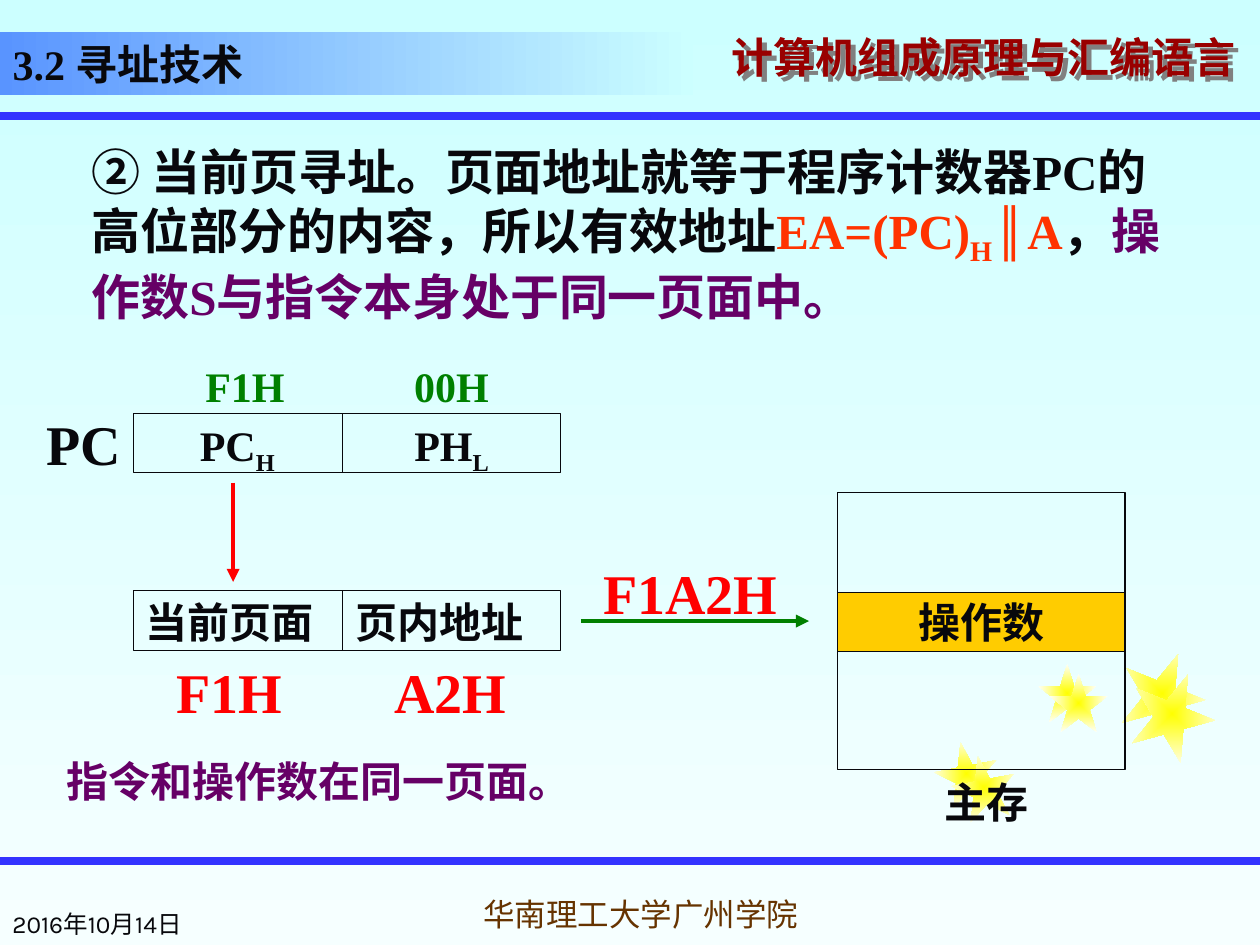
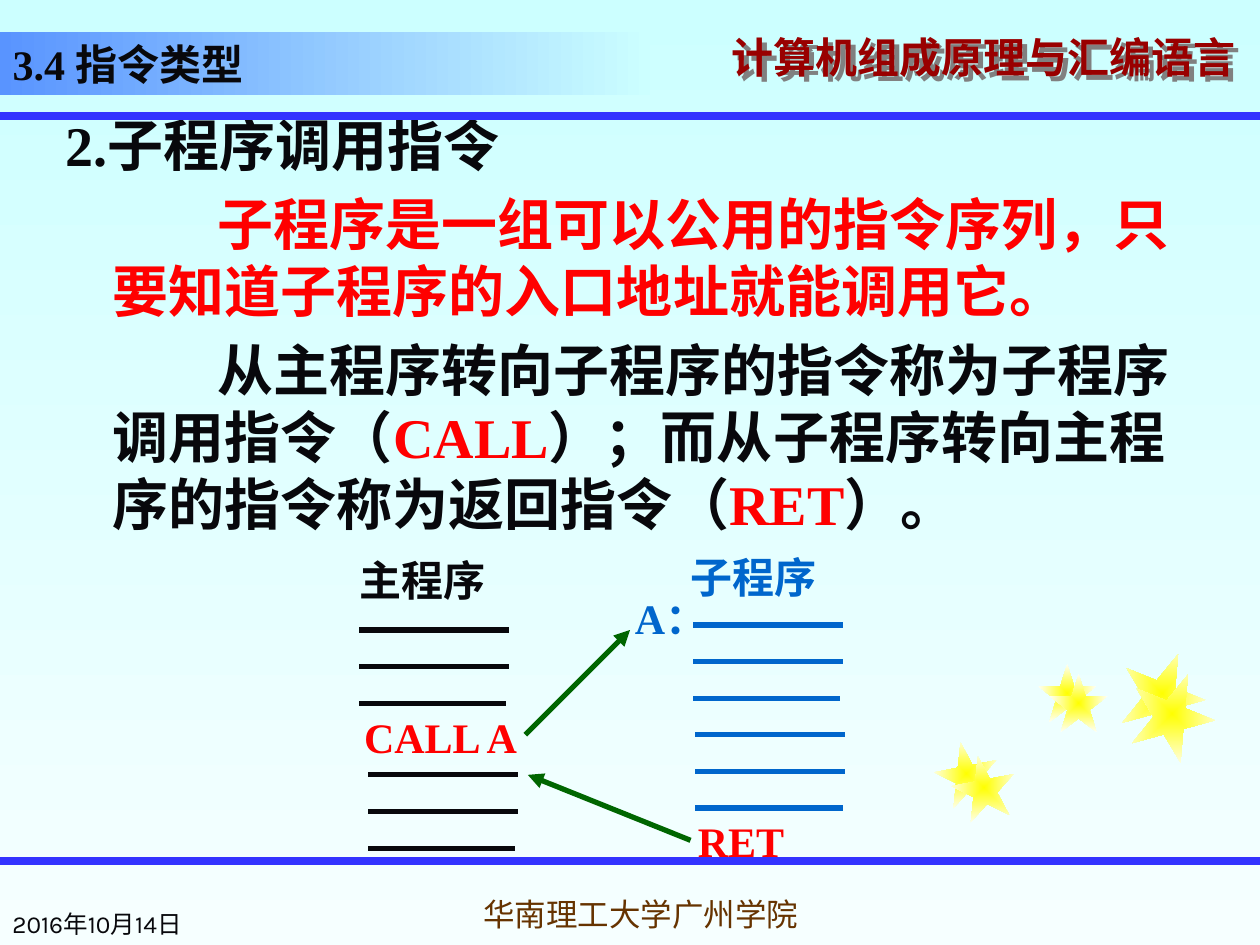
import lxml.etree
import pptx
import pptx.dml.color
import pptx.enum.shapes
import pptx.enum.text
import pptx.oxml.ns
import pptx.util

Cm = pptx.util.Cm
Pt = pptx.util.Pt
SHAPES = pptx.enum.shapes.MSO_SHAPE
ALIGN = pptx.enum.text.PP_ALIGN
ANCHOR = pptx.enum.text.MSO_ANCHOR

INK, RED, GREEN, PURPLE = "08080C", "FF0000", "008000", "660066"
ORANGE, BLUE, DARK_GREEN = "FF3300", "0066CC", "006600"
LATIN, CJK, FOOTER_FONT = "Times New Roman", "Noto Sans CJK SC", "Karla"
STARS = [
    (18.85, 14.96, 1.27, 349), (20.93, 13.39, 1.17, 0), (22.58, 13.13, 1.7, 22),
    (19.2, 15.24, 1.27, 349), (21.16, 13.59, 1.17, 0), (22.78, 13.54, 1.7, 22),
]


def rgb(code):
    return pptx.dml.color.RGBColor.from_string(code)


def child(parent, tag, **attributes):
    return lxml.etree.SubElement(parent, pptx.oxml.ns.qn(tag), **attributes)


def gradient(fill, start, end, angle=0):
    fill.gradient()
    fill.gradient_angle = angle
    for stop, code in zip(fill.gradient_stops, (start, end)):
        stop.color.rgb = rgb(code)


class Deck:
    def __init__(self):
        self.presentation = pptx.Presentation()
        self.presentation.slide_width = Cm(25.4)
        self.presentation.slide_height = Cm(19.05)
        gradient(self.presentation.slide_master.background.fill, "CCFFFF", "F6FFFF", 270)
        self.slide = None

    def new_slide(self, number, topic, band_width):
        layout = self.presentation.slide_layouts[1]
        self.slide = self.presentation.slides.add_slide(layout)
        self.title(number, topic, band_width)
        self.course_name()
        for y in (2.33, 17.35):
            self.line(0, y, 25.4, y, "3333FF", 4.5)
        for star in STARS:
            self.star(*star)
        self.text(0, 17.78, 5.28, "2016年10月14日", size=14, font=FOOTER_FONT,
                  bold=False, anchor=ANCHOR.BOTTOM)
        self.text(8.89, 17.78, 8.05, "华南理工大学广州学院", "663300", 18, font=FOOTER_FONT,
                  bold=False, align=ALIGN.CENTER, anchor=ANCHOR.MIDDLE)

    def place(self, holder, left, top, width, height):
        holder.left, holder.top = Cm(left), Cm(top)
        holder.width, holder.height = Cm(width), Cm(height)

    def run(self, paragraph, text, color=INK, size=24, font=LATIN, bold=True, baseline=0):
        run = paragraph.add_run()
        run.text = text
        run.font.size = Pt(size)
        run.font.bold = bold
        run.font.name = font
        run.font.color.rgb = rgb(color)
        properties = run._r.get_or_add_rPr()
        child(properties, "a:ea", typeface=FOOTER_FONT if font == FOOTER_FONT else CJK)
        if baseline:
            properties.set("baseline", str(baseline * 1000))

    def title(self, number, topic, width):
        heading = self.slide.shapes.title
        self.place(heading, 0, 0.64, width, 1.27)
        gradient(heading.fill, "5994FF", "CCFFFF")
        frame = heading.text_frame
        frame.vertical_anchor = ANCHOR.BOTTOM
        frame.auto_size = pptx.enum.text.MSO_AUTO_SIZE.NONE
        paragraph = frame.paragraphs[0]
        paragraph.alignment = ALIGN.LEFT
        self.run(paragraph, number + " ")
        self.run(paragraph, topic, font=CJK)

    def course_name(self):
        course = self.text(14.5, 0.64, 10.9, "计算机组成原理与汇编语言", "990000",
                           font=CJK, anchor=ANCHOR.MIDDLE)
        course.text_frame.paragraphs[0].line_spacing = 0.7
        effects = child(course._element.spPr, "a:effectLst")
        shadow = child(effects, "a:outerShdw", dist=str(Cm(0.14)), dir="2700000")
        child(shadow, "a:srgbClr", val="808080")

    def body(self, left, top, width, height, size, paragraphs):
        content = self.slide.placeholders[1]
        self.place(content, left, top, width, height)
        frame = content.text_frame
        frame.word_wrap = True
        frame.auto_size = pptx.enum.text.MSO_AUTO_SIZE.NONE
        for position, (first_indent, runs) in enumerate(paragraphs):
            paragraph = frame.add_paragraph() if position else frame.paragraphs[0]
            properties = paragraph._p.get_or_add_pPr()
            properties.set("marL", str(Cm(0.95)))
            properties.set("indent", str(Cm(first_indent)))
            child(properties, "a:buNone")
            for text, color, *baseline in runs:
                self.run(paragraph, text, color, size, baseline=baseline[0] if baseline else 0)

    def text(self, left, top, width, words, color=INK, size=24, subscript="", font=LATIN,
             bold=True, align=ALIGN.LEFT, anchor=ANCHOR.TOP):
        height = 1.6 if size == 32 else 1.27
        box = self.slide.shapes.add_textbox(Cm(left), Cm(top), Cm(width), Cm(height))
        frame = box.text_frame
        frame.word_wrap = True
        frame.vertical_anchor = anchor
        paragraph = frame.paragraphs[0]
        paragraph.alignment = align
        self.run(paragraph, words, color, size, font, bold)
        if subscript:
            self.run(paragraph, subscript, color, size, font, bold, -25)
        return box

    def box(self, left, top, width, height, fill=None, words=""):
        box = self.slide.shapes.add_shape(
            SHAPES.RECTANGLE, Cm(left), Cm(top), Cm(width), Cm(height))
        box.shadow.inherit = False
        box.line.color.rgb = rgb(INK)
        box.line.width = Pt(0.75)
        if fill:
            box.fill.solid()
            box.fill.fore_color.rgb = rgb(fill)
        else:
            box.fill.background()
        if words:
            box.text_frame.vertical_anchor = ANCHOR.MIDDLE
            paragraph = box.text_frame.paragraphs[0]
            paragraph.alignment = ALIGN.CENTER
            self.run(paragraph, words)

    def register(self, top, cells, align):
        self.box(2.69, top, 8.61, 1.2)
        self.line(6.91, top, 6.91, top + 1.2, INK, 0.75)
        for left, width, (words, subscript) in zip((2.69, 6.91), (4.19, 4.39), cells):
            self.text(left, top, width, words, subscript=subscript, align=align)

    def star(self, left, top, size, rotation):
        star = self.slide.shapes.add_shape(SHAPES.STAR_5_POINT, Cm(left), Cm(top), Cm(size), Cm(size))
        star.rotation = rotation
        star.shadow.inherit = False
        star.line.fill.background()
        gradient(star.fill, "FFFF00", "FFFFF5")
        shading = star._element.spPr.find(pptx.oxml.ns.qn("a:gradFill"))
        shading.remove(shading.find(pptx.oxml.ns.qn("a:lin")))
        centre = child(shading, "a:path", path="shape")
        child(centre, "a:fillToRect", l="50000", t="50000", r="50000", b="50000")

    def line(self, x1, y1, x2, y2, color, width, arrow=False):
        line = self.slide.shapes.add_connector(
            pptx.enum.shapes.MSO_CONNECTOR.STRAIGHT, Cm(x1), Cm(y1), Cm(x2), Cm(y2))
        line.line.color.rgb = rgb(color)
        line.line.width = Pt(width)
        if arrow:
            child(line.line._get_or_add_ln(), "a:tailEnd", type="triangle")
        child(line._element.spPr, "a:effectLst")

    def code_lines(self, left, top, color):
        for row, width in enumerate((3.02, 3.02, 2.97)):
            y = top + 0.74 * row
            self.line(left, y, left + width, y, color, 3)


def page_addressing(deck):
    deck.new_slide("3.2", "寻址技术", 13.97)
    deck.body(0.64, 2.72, 23.29, 5, 28, [(0, [
        ("② 当前页寻址。页面地址就等于程序计数器PC的高位部分的内容，所以有效地址", INK),
        ("EA=(PC)", ORANGE),
        ("H", ORANGE, -25),
        ("∥A", ORANGE),
        ("，", INK),
        ("操作数S与指令本身处于同一页面中。", PURPLE),
    ])])
    deck.register(8.33, [("PC", "H"), ("PH", "L")], ALIGN.CENTER)
    deck.register(11.91, [("当前页面", ""), ("页内地址", "")], ALIGN.LEFT)
    deck.box(16.89, 9.93, 5.79, 5.59)
    deck.box(16.89, 11.94, 5.79, 1.2, "FFCC00", "操作数")
    deck.text(17.09, 15.52, 5.59, "主存", align=ALIGN.CENTER)
    deck.line(4.7, 9.73, 4.7, 11.73, RED, 2.5, arrow=True)
    deck.line(11.71, 12.52, 16.31, 12.52, GREEN, 2.5, arrow=True)
    deck.text(0.69, 8.13, 2.21, "PC", size=32)
    deck.text(3.89, 7.14, 2.79, "F1H", GREEN)
    deck.text(8.1, 7.14, 2.79, "00H", GREEN)
    deck.text(3.3, 13.13, 2.79, "F1H", RED, 32)
    deck.text(7.7, 13.13, 3, "A2H", RED, 32)
    deck.text(11.91, 11.13, 4.39, "F1A2H", RED, 32)
    deck.text(1.09, 15.11, 13.79, "指令和操作数在同一页面。", PURPLE)


def subroutine_call(deck):
    deck.new_slide("3.4", "指令类型", 13.11)
    deck.body(1.07, 2.11, 22.86, 15.67, 32, [
        (-0.95, [("2.子程序调用指令", INK)]),
        (2.11, [("子程序是一组可以公用的指令序列，只要知道子程序的入口地址就能调用它。", RED)]),
        (2.11, [
            ("从主程序转向子程序的指令称为子程序调用指令（", INK),
            ("CALL", RED),
            ("）；而从子程序转向主程序的指令称为返回指令（", INK),
            ("RET", RED),
            ("）。", INK),
        ]),
    ])
    deck.text(6.99, 11.05, 3.66, "主程序")
    deck.code_lines(7.24, 12.7, INK)
    deck.text(7.09, 14.22, 3.81, "CALL A", RED)
    deck.code_lines(7.42, 15.62, INK)
    deck.text(13.67, 11, 3.66, "子程序", BLUE)
    deck.text(12.55, 11.81, 2.59, "A：", BLUE)
    deck.code_lines(13.97, 12.6, BLUE)
    deck.code_lines(14.02, 14.81, BLUE)
    deck.text(13.82, 16.31, 3.81, "RET", RED)
    deck.line(10.59, 14.81, 12.7, 12.7, DARK_GREEN, 3, arrow=True)
    deck.line(13.92, 16.94, 10.64, 15.62, DARK_GREEN, 3, arrow=True)


def main():
    deck = Deck()
    page_addressing(deck)
    subroutine_call(deck)
    deck.presentation.save("out.pptx")


if __name__ == "__main__":
    main()
